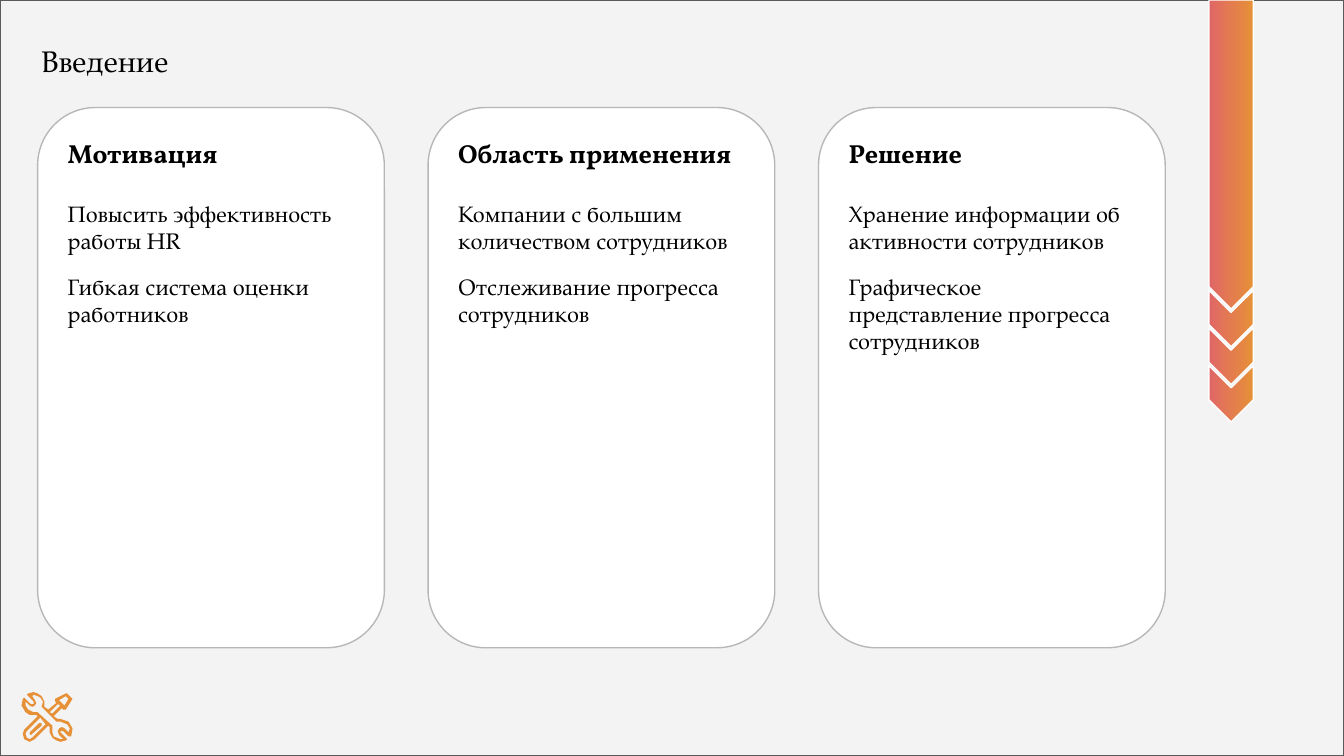
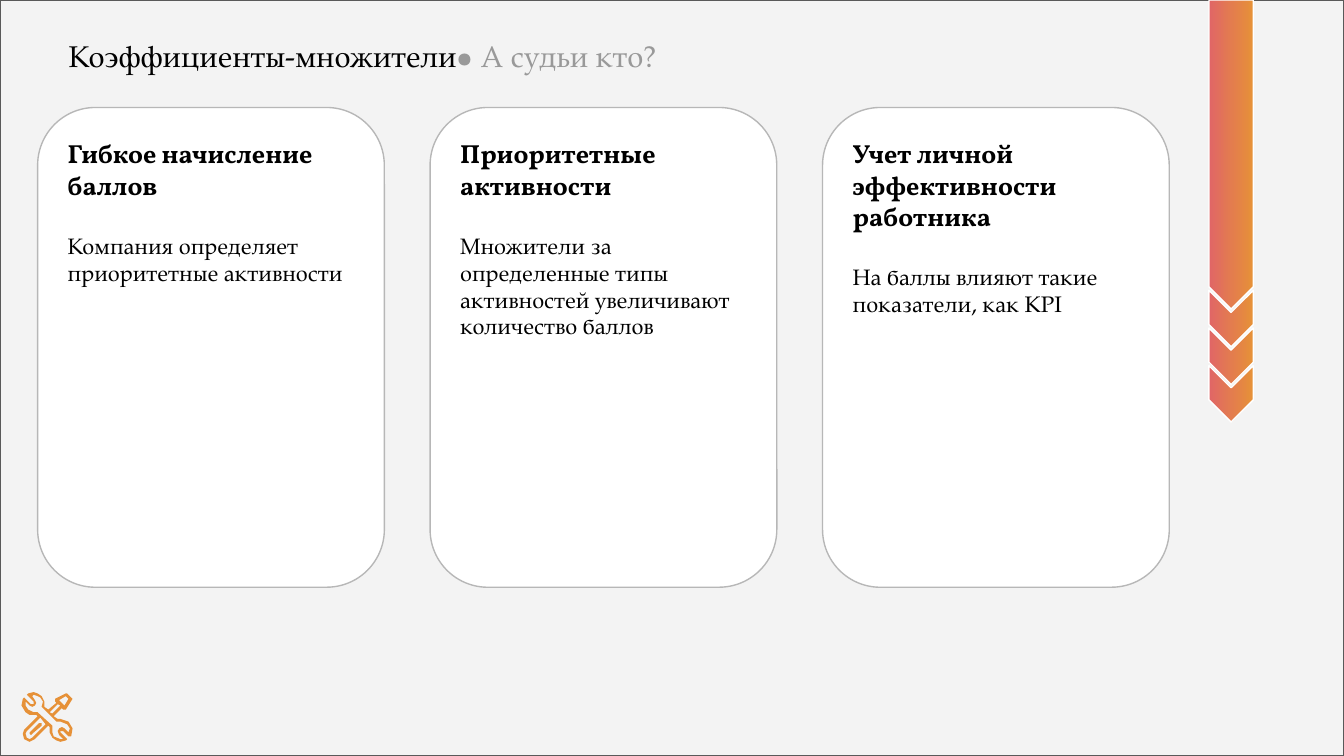
from pptx import Presentation
from pptx.dml.color import RGBColor
from pptx.enum.shapes import MSO_SHAPE
from pptx.enum.text import MSO_ANCHOR, PP_ALIGN
from pptx.util import Inches, Pt

RECT, CARD = MSO_SHAPE.RECTANGLE, MSO_SHAPE.FLOWCHART_ALTERNATE_PROCESS
PENTAGON, CHEVRON = MSO_SHAPE.PENTAGON, MSO_SHAPE.CHEVRON
TOP, LEFT, CENTER = MSO_ANCHOR.TOP, PP_ALIGN.LEFT, PP_ALIGN.CENTER

BLACK = RGBColor(0x00, 0x00, 0x00)
WHITE = RGBColor(0xFF, 0xFF, 0xFF)
PALE = RGBColor(0xF3, 0xF3, 0xF3)
FRAME = RGBColor(0x59, 0x59, 0x59)
BORDER = RGBColor(0xB7, 0xB7, 0xB7)
GRAY = RGBColor(0x99, 0x99, 0x99)
ORANGE = RGBColor(0xE6, 0x91, 0x38)
RED = RGBColor(0xE0, 0x66, 0x66)

SERIF, HEAD = "TeX Gyre Pagella", "Vollkorn"
HEAD_FMT = {"name": HEAD, "size": Pt(14), "bold": True}
BODY_FMT = {"name": SERIF, "size": Pt(12), "bold": False}

# Content
SLIDES = [
    {
        "title": [("Введение", BLACK)],
        "title_box": (-0.58, 0.27, 2.72, 0.53), "title_size": 16, "spacing": 0.8,
        "last_left": 6.09, "card_height": 4.02,
        "cards": [
            ("Мотивация", ["Повысить эффективность работы HR",
                           "Гибкая система оценки работников"]),
            ("Область применения", ["Компании с большим количеством сотрудников",
                                    "Отслеживание прогресса сотрудников"]),
            ("Решение", ["Хранение информации об активности сотрудников",
                         "Графическое представление прогресса сотрудников"]),
        ],
    },
    {
        "title": [("Коэффициенты-множители", BLACK), ("• А судьи кто?", GRAY)],
        "title_box": (-0.62, 0.18, 6.64, 0.53), "title_size": 16.1, "spacing": 1.0,
        "last_left": 6.12, "card_height": 3.57,
        "cards": [
            ("Гибкое начисление баллов",
             ["Компания определяет приоритетные активности"]),
            ("Приоритетные активности",
             ["Множители за определенные типы активностей увеличивают количество баллов"]),
            ("Учет личной эффективности работника",
             ["На баллы влияют такие показатели, как KPI"]),
        ],
    },
]

# Layout, in inches
SLIDE_W = 10
SLIDE_H = SLIDE_W * 9 / 16
CARD_LEFT, CARD_TOP, CARD_W = 0.28, 0.8, 2.58
ARROW_X, ARROW_W = 9.16, 0.33
ARROW_PARTS = [(PENTAGON, 1.15, 2.3)] + [
    (CHEVRON, 2.37 + 0.28 * i, 0.42) for i in range(3)]

# Tools icon: contours in hundredths of an inch, holes after the outline
TOOLS = [
    [(25, 15), (21, 16), (20, 17), (21, 18), (25, 22), (25, 24), (23, 24), (19, 20),
     (18, 19), (17, 20), (16.5, 25), (19, 30), (22, 31.7), (25, 32), (27, 32), (28, 33),
     (18, 43), (16.7, 46.5), (18, 50), (22, 52), (26, 50), (36, 40), (37, 41), (37, 45),
     (39, 49), (42, 51.3), (45, 52), (49, 51), (50, 50), (49, 49), (45, 45), (45, 44),
     (47, 44), (51, 48), (52, 48), (53, 48), (53.5, 42), (51, 37), (48.5, 35.5), (45, 35),
     (43, 35), (40, 33), (46, 27), (47, 28), (49, 28), (54, 20), (53, 19), (50, 16),
     (49, 16), (41, 20), (41, 22), (42, 23), (36, 28), (33, 26), (33, 22), (31, 18),
     (28.5, 16)],
    [(49, 18), (51, 20), (48, 25), (44, 21)],
    [(43, 24), (45, 25), (39, 31), (37, 30)],
    [(25, 17), (28, 17.5), (30, 19), (31.6, 22), (31, 26), (32, 27), (42, 37), (45, 37),
     (50, 39), (51.5, 42), (51, 45), (48, 42), (46, 41), (44, 42), (43, 44), (44, 47),
     (47, 50), (45, 50), (40, 48), (38.6, 45), (39, 41), (39, 40), (28, 30), (25, 30),
     (21, 28), (18.8, 25), (19, 22), (22, 25), (24, 26), (26, 25), (27, 23), (26, 21),
     (24, 18)],
    [(30, 34), (34, 39), (24, 49), (22, 50), (20, 49), (18.8, 46.5), (20, 44)],
]
GROOVE = [[(30, 38), (29, 38), (22, 45), (22, 46), (23, 47), (24, 46), (31, 40), (31, 38)]]
ICON_TOP = 500


def add_box(s, kind, box, fill, line):
    sp = s.shapes.add_shape(kind, *(Inches(v) for v in box))
    sp.shadow.inherit = False
    if fill:
        sp.fill.solid()
        sp.fill.fore_color.rgb = fill
    sp.line.color.rgb = line
    sp.line.width = Pt(0.75)
    return sp


def set_frame(tf):
    tf.word_wrap = True
    tf.vertical_anchor = TOP
    for side in ("left", "top", "right", "bottom"):
        setattr(tf, f"margin_{side}", Inches(0.1))


def add_run(p, text, color, fmt):
    r = p.add_run()
    r.text = text
    for key, value in fmt.items():
        setattr(r.font, key, value)
    r.font.color.rgb = color


def add_title(s, data):
    box = s.shapes.add_textbox(*(Inches(v) for v in data["title_box"]))
    set_frame(box.text_frame)
    p = box.text_frame.paragraphs[0]
    p.alignment, p.line_spacing = CENTER, data["spacing"]
    for text, color in data["title"]:
        add_run(p, text, color, {"name": SERIF, "size": Pt(data["title_size"])})


def add_card(s, left, height, heading, items):
    tf = add_box(s, CARD, (left, CARD_TOP, CARD_W, height), WHITE, BORDER).text_frame
    set_frame(tf)
    p = tf.paragraphs[0]
    p.alignment = LEFT
    add_run(p, heading, BLACK, HEAD_FMT)
    for i, text in enumerate(items):
        p = tf.add_paragraph()
        p.alignment = LEFT
        p.space_before = Pt(10 if i else 16.8)
        add_run(p, text, BLACK, BODY_FMT)


def add_arrow(s):
    for kind, mid, length in ARROW_PARTS:
        box = (ARROW_X - length / 2, mid - ARROW_W / 2, length, ARROW_W)
        sp = add_box(s, kind, box, None, WHITE)
        sp.rotation = 90
        sp.adjustments[0] = 0.5
        sp.fill.gradient()
        sp.fill.gradient_angle = 180
        for stop, color in zip(sp.fill.gradient_stops, (ORANGE, RED)):
            stop.color.rgb = color
        # The colours run across the slide, whatever the rotation
        sp.element.xpath("./p:spPr/a:gradFill")[0].set("rotWithShape", "0")


def add_icon(s):
    for contours in (TOOLS, GROOVE):
        outline, *holes = [[(x, y + ICON_TOP) for x, y in c] for c in contours]
        fb = s.shapes.build_freeform(*outline[0], scale=Inches(0.01))
        fb.add_line_segments(outline[1:], close=True)
        for hole in holes:
            fb.move_to(*hole[0])
            fb.add_line_segments(hole[1:], close=True)
        sp = fb.convert_to_shape()
        sp.shadow.inherit = False
        sp.fill.solid()
        sp.fill.fore_color.rgb = ORANGE
        sp.line.fill.background()


def main():
    prs = Presentation()
    prs.slide_width, prs.slide_height = Inches(SLIDE_W), Inches(SLIDE_H)
    for data in SLIDES:
        s = prs.slides.add_slide(prs.slide_layouts[6])
        add_box(s, RECT, (0, 0, SLIDE_W, SLIDE_H), PALE, FRAME)
        add_title(s, data)
        add_icon(s)
        add_arrow(s)
        step = (data["last_left"] - CARD_LEFT) / (len(data["cards"]) - 1)
        for i, (heading, items) in enumerate(data["cards"]):
            add_card(s, CARD_LEFT + i * step, data["card_height"], heading, items)
    prs.save("out.pptx")


if __name__ == "__main__":
    main()
